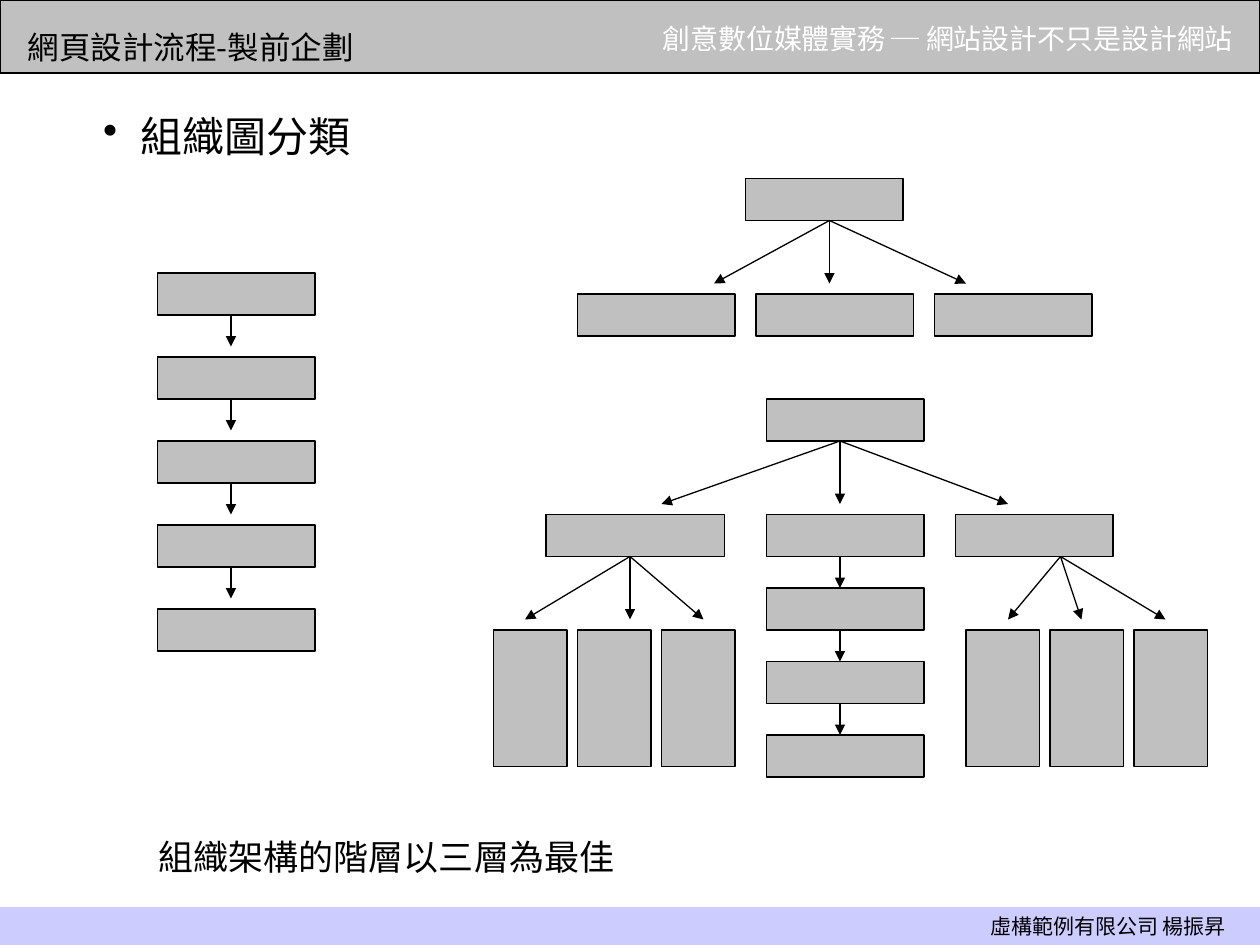
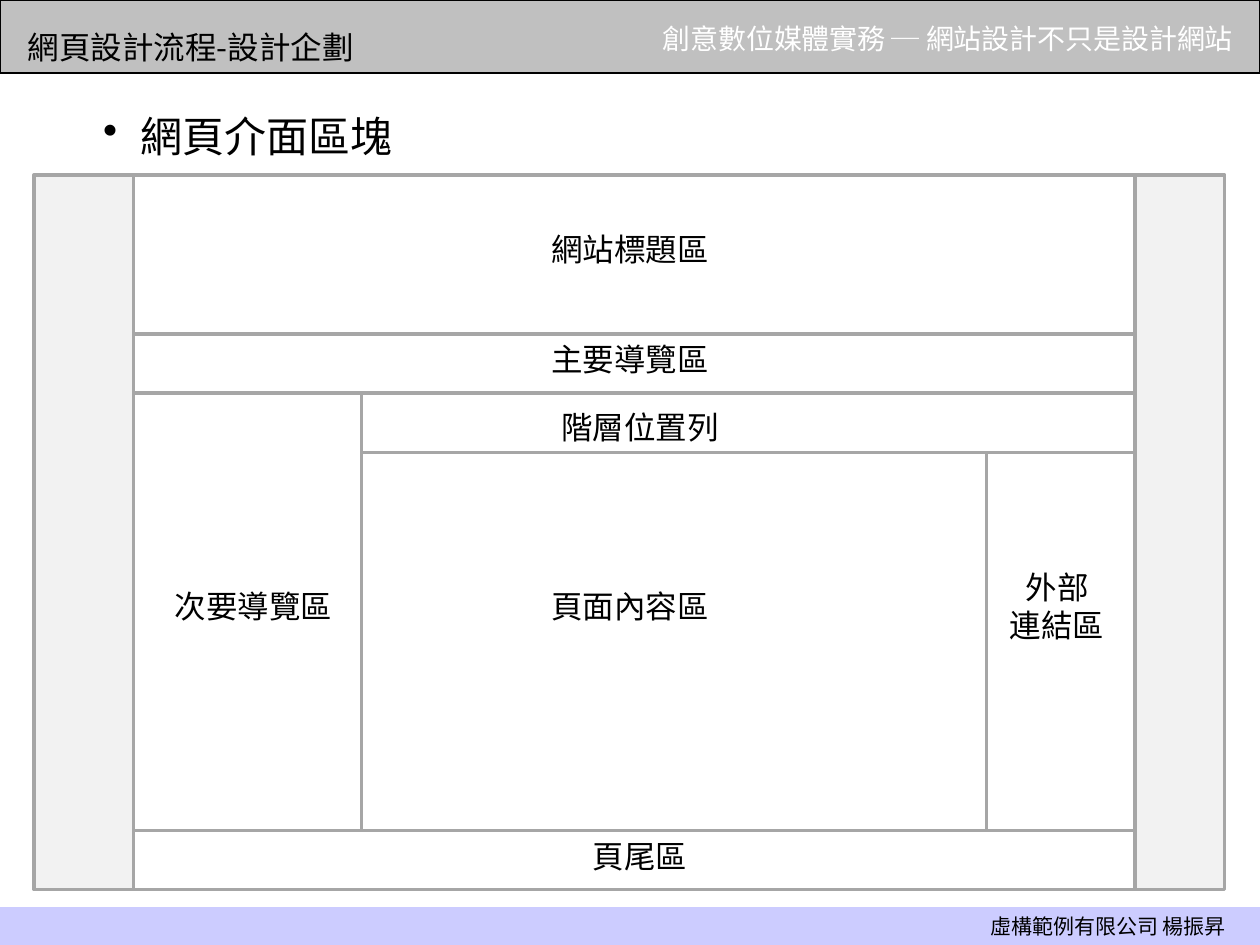
from lxml import etree
from pptx import Presentation
from pptx.dml.color import RGBColor
from pptx.enum.shapes import MSO_CONNECTOR, MSO_SHAPE
from pptx.enum.text import MSO_ANCHOR, MSO_AUTO_SIZE, PP_ALIGN
from pptx.oxml.ns import qn
from pptx.util import Inches, Pt

RECT, STRAIGHT = MSO_SHAPE.RECTANGLE, MSO_CONNECTOR.STRAIGHT
LEFT, CENTER, RIGHT = PP_ALIGN.LEFT, PP_ALIGN.CENTER, PP_ALIGN.RIGHT
TOP, MIDDLE = MSO_ANCHOR.TOP, MSO_ANCHOR.MIDDLE
GROW, FIXED = MSO_AUTO_SIZE.SHAPE_TO_FIT_TEXT, MSO_AUTO_SIZE.NONE

BLACK = RGBColor(0x00, 0x00, 0x00)
WHITE = RGBColor(0xFF, 0xFF, 0xFF)
SILVER = RGBColor(0xC0, 0xC0, 0xC0)
LAVENDER = RGBColor(0xCC, 0xCC, 0xFF)
PALE = RGBColor(0xF2, 0xF2, 0xF2)
EDGE = RGBColor(0xA6, 0xA6, 0xA6)

SANS, SERIF = "Noto Sans CJK SC", "Times New Roman"
TITLE_ONLY = 5
FRAME = {"margin_left": Inches(0.1), "margin_right": Inches(0.1),
         "margin_top": Inches(0.05), "margin_bottom": Inches(0.05),
         "vertical_anchor": TOP, "auto_size": GROW, "word_wrap": True}

# Charts of boxes are laid out in twelfths of an inch
GRID_STEP = 1 / 12
NODE_W, NODE_H = 15, 4
LEAF_W, LEAF_H, LEAF_PITCH = 7, 13, 8
FAN_DROP = 6


def write(shape, text, size, face=SANS, color=BLACK, align=LEFT, **frame):
    """Fill a shape with one formatted paragraph."""
    for name, value in {**FRAME, **frame}.items():
        setattr(shape.text_frame, name, value)
    paragraph = shape.text_frame.paragraphs[0]
    paragraph.text = text
    paragraph.alignment = align
    for run in paragraph.runs:
        for name, value in {"size": Pt(size), "name": face}.items():
            setattr(run.font, name, value)
        run.font.color.rgb = color
    for latin in shape.element.iter(qn("a:latin")):
        east_asian = etree.Element(qn("a:ea"), typeface=SANS)
        latin.addnext(east_asian)
    return paragraph


def textbox(slide, box, text, size, **style):
    return write(slide.shapes.add_textbox(*map(Inches, box)), text, size, **style)


def block(slide, box, fill=None, edge=BLACK, weight=0.75):
    rect = slide.shapes.add_shape(RECT, *map(Inches, box))
    rect.shadow.inherit = False
    if fill is None:
        rect.fill.background()
    else:
        rect.fill.solid()
        rect.fill.fore_color.rgb = fill
    if edge is None:
        rect.line.fill.background()
    else:
        rect.line.color.rgb = edge
        rect.line.width = Pt(weight)
    return rect


def node(slide, x, y, width=NODE_W, height=NODE_H):
    block(slide, [GRID_STEP * side for side in (x, y, width, height)], SILVER)


def arrow(slide, *ends):
    link = slide.shapes.add_connector(
        STRAIGHT, *(Inches(GRID_STEP * end) for end in ends))
    link.line.color.rgb = BLACK
    link.line.width = Pt(0.75)
    etree.SubElement(link.line._get_or_add_ln(), qn("a:tailEnd"), type="triangle")
    etree.SubElement(link.element.spPr, qn("a:effectLst"))


def fan(slide, x, y, offsets):
    """Arrows that spread downwards from one point."""
    for offset in offsets:
        arrow(slide, x, y, x + offset, y + FAN_DROP)


def chain(slide, x, y, count, pitch, reach):
    """A column of nodes, each pointing to the next."""
    for row in range(count):
        top = y + row * pitch
        node(slide, x, top)
        if row < count - 1:
            arrow(slide, x + 7, top + NODE_H, x + 7, top + NODE_H + reach)


def leaves(slide, x, y):
    for column in range(3):
        node(slide, x + column * LEAF_PITCH, y, LEAF_W, LEAF_H)


def flat_tree(slide, x, y):
    """One root over three children."""
    node(slide, x + 16, y)
    for column in range(3):
        node(slide, x + column * 17, y + 11)
    fan(slide, x + 24, y + NODE_H, (0, 13, -11))


def deep_tree(slide, x, y):
    """One root over a chain and two branches with leaves."""
    node(slide, x + 26, y)
    fan(slide, x + 33, y + NODE_H, (0, 16, -17))
    node(slide, x + 5, y + 11, width=17)
    node(slide, x + 44, y + 11)
    chain(slide, x + 26, y + 11, count=4, pitch=7, reach=3)
    leaves(slide, x, y + 22)
    fan(slide, x + 13, y + 15, (0, 7, -10))
    leaves(slide, x + 45, y + 22)
    fan(slide, x + 54, y + 15, (2, 10, -5))


def page(deck, title, topic):
    """Bands, title and bulleted topic shared by the slides."""
    slide = deck.slides.add_slide(deck.slide_layouts[TITLE_ONLY])
    footer = block(slide, (0, 7.2, 10, 0.3), LAVENDER, edge=None)
    write(footer, "虛構範例有限公司 楊振昇", 12, face=SERIF, align=RIGHT,
          margin_right=Inches(0.27), vertical_anchor=MIDDLE, auto_size=FIXED)
    block(slide, (0, 0, 10, 0.58), SILVER)
    textbox(slide, (5.16, 0.12, 4.84, 0.64),
            "創意數位媒體實務 ─ 網站設計不只是設計網站", 16, face=SERIF, color=WHITE)

    bullet = textbox(slide, (0.72, 0.83, 9.03, 0.5), topic, 24)
    properties = bullet._p.get_or_add_pPr()
    properties.set("marL", str(Inches(0.3)))
    properties.set("indent", str(-Inches(0.3)))
    etree.SubElement(properties, qn("a:buChar"), char="•")

    heading = slide.shapes.title
    place = {"left": 0.12, "top": 0.17, "width": 2.94, "height": 0.4}
    for name, value in place.items():
        setattr(heading, name, Inches(value))
    write(heading, title, 18, word_wrap=False)
    # Bring the title in front of the top band
    heading.element.getparent().append(heading.element)
    return slide


def wireframe(slide, left, top, width, height):
    """Regions of a web page, placed inside the given box."""
    side, body_w = 0.79, 7.95
    banner_h, bar_h, menu_w, links_w = 1.26, 0.47, 1.81, 1.18
    menu_y = banner_h + bar_h
    foot_y = height - bar_h
    main_x, main_y = side + menu_w, menu_y + bar_h
    body_right = side + body_w
    regions = [
        (0, 0, width, height, PALE),
        (side, 0, body_w, height, WHITE),
        (side, 0, body_w, banner_h, None),
        (side, banner_h, body_w, bar_h, None),
        (side, foot_y, body_w, bar_h, None),
        (side, menu_y, menu_w, foot_y - menu_y, None),
        (main_x, menu_y, body_w - menu_w, bar_h, None),
        (body_right - links_w, main_y, links_w, foot_y - main_y, None),
    ]
    for x, y, w, h, fill in regions:
        block(slide, (left + x, top + y, w, h), fill, EDGE, 2)

    labels = [
        ("網站標題區", 3.39, 0.39, 0.4),
        ("主要導覽區", 3.39, banner_h, 0.4),
        ("次要導覽區", 0.4, 3.22, 0.4),
        ("階層位置列", 3.47, 1.8, 0.4),
        ("頁面內容區", 3.39, 3.22, 0.4),
        ("外部\n連結區", 6.78, 3.07, 0.7),
        ("頁尾區", 3.47, foot_y, 0.4),
    ]
    for text, x, y, h in labels:
        textbox(slide, (left + x, top + y, 2.68, h), text, 18,
                face=SERIF, align=CENTER)


def main():
    deck = Presentation()
    deck.slide_width, deck.slide_height = Inches(10), Inches(7.5)

    # Kinds of organisation chart
    charts = page(deck, "網頁設計流程-製前企劃", "組織圖分類")
    chain(charts, 15, 26, count=5, pitch=8, reach=3)
    flat_tree(charts, 55, 17)
    deep_tree(charts, 47, 38)
    textbox(charts, (1.16, 6.58, 3.82, 0.44), "組織架構的階層以三層為最佳", 20,
            word_wrap=False)

    # Regions of a web page
    layout = page(deck, "網頁設計流程-設計企劃", "網頁介面區塊")
    wireframe(layout, 0.27, 1.39, 9.45, 5.67)

    deck.save("out.pptx")


if __name__ == "__main__":
    main()
